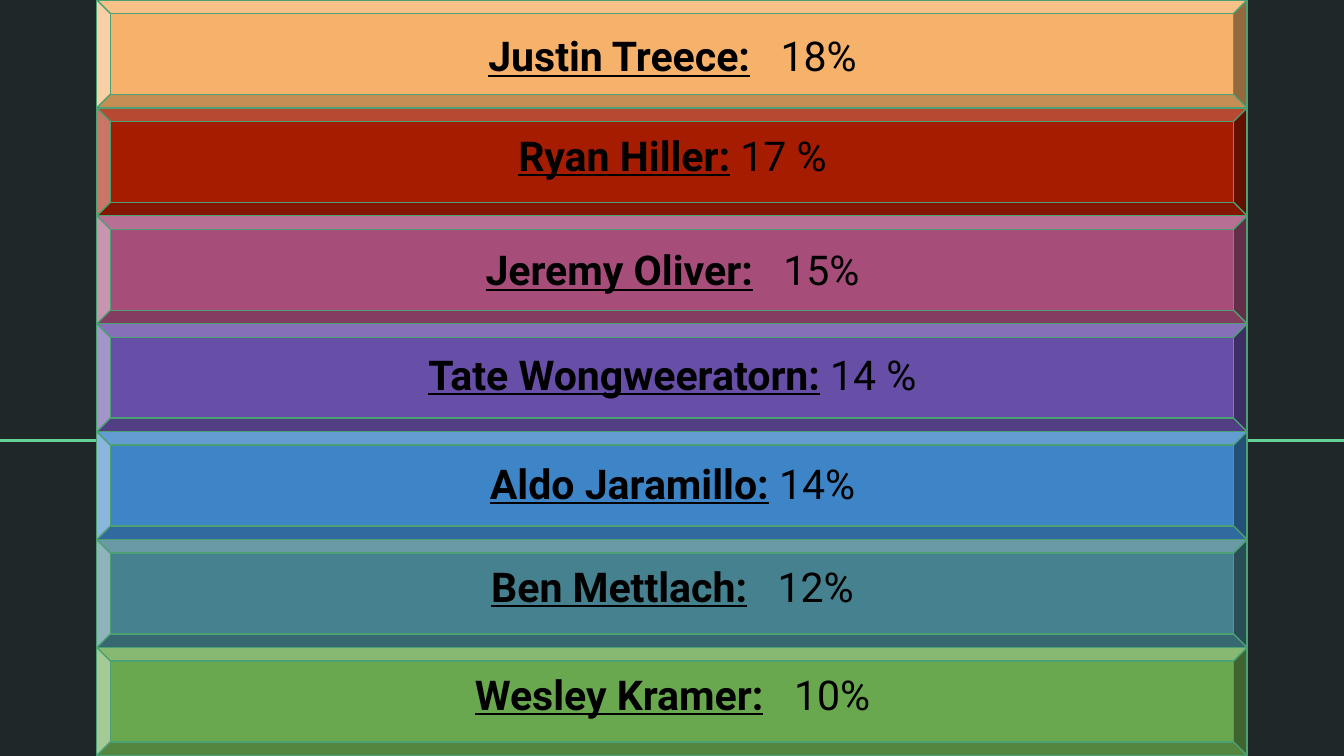
"""Build a slide of seven bevelled bars, each with a name and a share."""
from lxml import etree
from pptx import Presentation
from pptx.dml.color import RGBColor
from pptx.enum.shapes import MSO_CONNECTOR, MSO_SHAPE
from pptx.enum.text import MSO_ANCHOR, PP_ALIGN
from pptx.oxml.ns import qn
from pptx.util import Cm, Pt

STRAIGHT = MSO_CONNECTOR.STRAIGHT
BEVEL = MSO_SHAPE.BEVEL
TOP = MSO_ANCHOR.TOP
CENTER = PP_ALIGN.CENTER

THEME = {
    "back": RGBColor.from_string("202729"),
    "rule": RGBColor.from_string("63D297"),
    "edge": RGBColor.from_string("4BA173"),
    "ink": RGBColor.from_string("000000"),
    "font": "Roboto",
    "size": Pt(22),
    "thick": Pt(1.5),
    "thin": Pt(0.75),
}

ROWS = [
    ("Justin Treece:", "18%", "F6B26B", 0.33, True),
    ("Ryan Hiller:", "17 %", "A61C00", 2.21, False),
    ("Jeremy Oliver:", "15%", "A64D79", 4.37, True),
    ("Tate Wongweeratorn:", "14 %", "674EA7", 6.35, False),
    ("Aldo Jaramillo:", "14%", "3D85C6", 8.41, False),
    ("Ben Mettlach:", "12%", "45818E", 10.36, True),
    ("Wesley Kramer:", "10%", "6AA84F", 12.4, True),
]
PITCH = 2.04
WIDE_GAP = "1090"
FRAME = {
    "word_wrap": True,
    "vertical_anchor": TOP,
    "margin_left": Cm(0.25),
    "margin_right": Cm(0.25),
    "margin_top": Cm(0.25),
    "margin_bottom": Cm(0.25),
}
PLAIN = {"name": THEME["font"], "size": THEME["size"], "bold": False, "underline": False}
STRONG = {**PLAIN, "bold": True, "underline": True}


def format_with(target, values):
    for key, value in values.items():
        setattr(target, key, value)


def add_run(par, text, style):
    run = par.add_run()
    run.text = text
    format_with(run.font, style)
    run.font.color.rgb = THEME["ink"]
    return run


deck = Presentation()
deck.slide_width, deck.slide_height = Cm(25.4), Cm(14.29)
slide = deck.slides.add_slide(deck.slide_layouts[6])
slide.background.fill.solid()
slide.background.fill.fore_color.rgb = THEME["back"]
shapes = slide.shapes

rule = shapes.add_connector(STRAIGHT, 0, Cm(8.33), deck.slide_width, Cm(8.33))
rule.line.color.rgb = THEME["rule"]
rule.line.width = THEME["thick"]
etree.SubElement(rule.element.spPr, qn("a:effectLst"))

for row, (name, share, color, top, wide) in enumerate(ROWS):
    bar = shapes.add_shape(BEVEL, Cm(1.83), Cm(row * PITCH), Cm(21.74), Cm(PITCH))
    bar.shadow.inherit = False
    bar.fill.solid()
    bar.fill.fore_color.rgb = RGBColor.from_string(color)
    bar.line.color.rgb = THEME["edge"]
    bar.line.width = THEME["thin"]

    label = shapes.add_textbox(Cm(2.12), Cm(top), Cm(21.18), Cm(1.73))
    format_with(label.text_frame, FRAME)
    par = label.text_frame.paragraphs[0]
    par.alignment = CENTER
    add_run(par, name, STRONG)
    gap = add_run(par, " ", PLAIN)
    if wide:
        gap.font._element.set("spc", WIDE_GAP)
    add_run(par, share, PLAIN)

deck.save("out.pptx")
